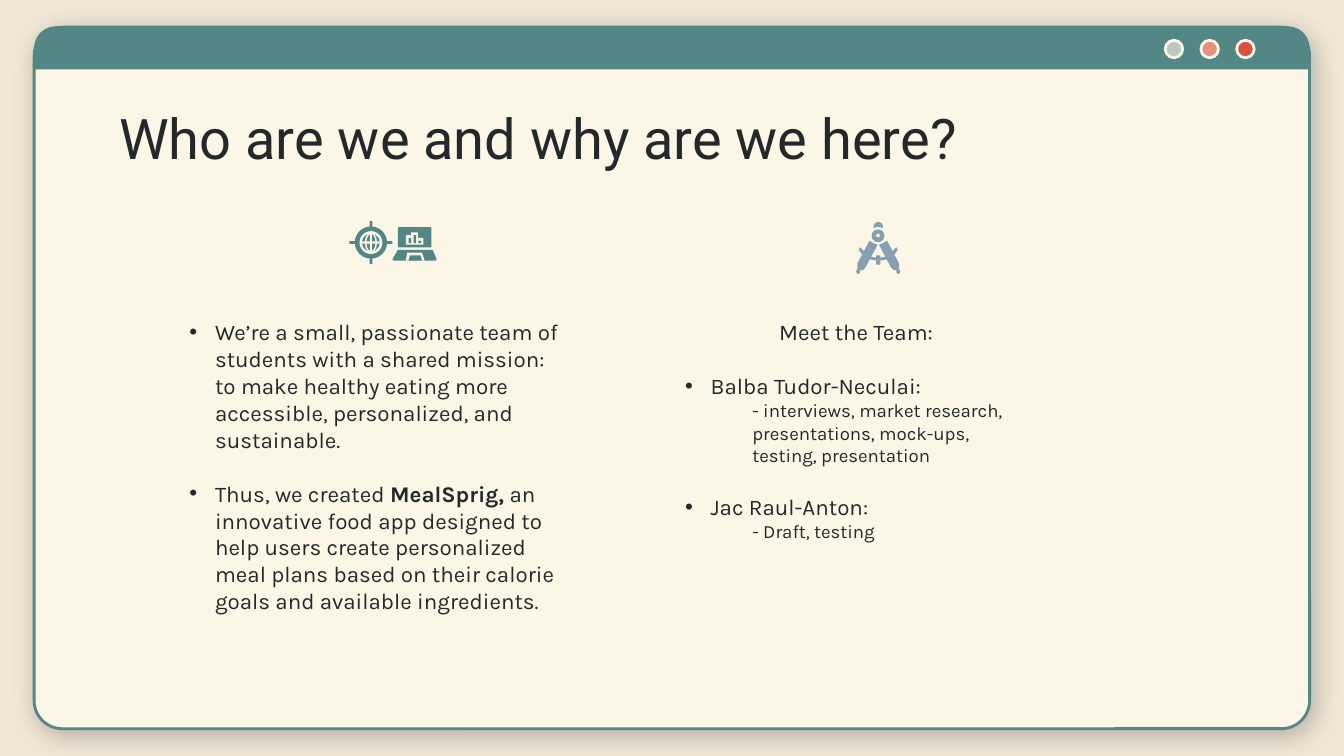
from dataclasses import dataclass
from typing import NamedTuple

from lxml.etree import SubElement
from pptx import Presentation
from pptx.dml.color import RGBColor
from pptx.enum.shapes import MSO_SHAPE as Kind
from pptx.enum.text import MSO_ANCHOR as Anchor, PP_ALIGN as Align
from pptx.oxml.ns import qn
from pptx.util import Inches, Pt

COLUMNS, ROWS = 1000, 562.5  # 16:9 slide grid; one cell is a hundredth of an inch
CELL = Inches(0.01)


@dataclass(frozen=True)
class Theme:
    backdrop: str = "F1E7D6"
    paper: str = "FCF6E7"
    teal: str = "538786"
    slate: str = "869FB2"
    ink: str = "24282A"
    buttons: tuple[str, ...] = ("BBC8BA", "E6907D", "DD4F3D")
    heading_font: str = "Roboto"
    body_font: str = "Karla"
    bullet_font: str = "Arial"
    title_size: float = 30
    body_size: float = 12
    detail_size: float = 10
    outline: float = 1.5
    gap: float = 14.4


class Area(NamedTuple):
    column: float
    row: float
    columns: float
    rows: float


class Item(NamedTuple):
    """One paragraph; its spans alternate between regular and bold."""
    spans: tuple[str, ...]
    size: float
    font: str
    bullet: bool = False
    margin: float = 0
    align: Align = Align.LEFT
    gap: float = 0


Points = list[tuple[int, int]]
THEME = Theme()


def color(code: str) -> RGBColor:
    return RGBColor.from_string(code)


def paint(shape, fill: str | None, line: str | None = None, width: float = 0) -> None:
    shape.shadow.inherit = False
    if fill:
        shape.fill.solid()
        shape.fill.fore_color.rgb = color(fill)
    else:
        shape.fill.background()
    if line:
        shape.line.color.rgb = color(line)
        shape.line.width = Pt(width)
    else:
        shape.line.fill.background()


def add_preset(page, kind: Kind, area: Area, fill: str | None,
               line: str | None = None, width: float = 0):
    shape = page.shapes.add_shape(kind, *(round(n * CELL) for n in area))
    paint(shape, fill, line, width)
    return shape


def add_disc(page, x: float, y: float, radius: float, fill: str) -> None:
    area = Area(x - radius, y - radius, 2 * radius, 2 * radius)
    add_preset(page, Kind.OVAL, area, fill)


def add_outline(page, points: Points, fill: str) -> None:
    builder = page.shapes.build_freeform(*points[0], scale=CELL)
    builder.add_line_segments(points[1:], close=True)
    paint(builder.convert_to_shape(), fill)


def add_shadow(shape) -> None:
    effects = shape._element.spPr.find(qn("a:effectLst"))
    shadow = SubElement(effects, qn("a:outerShdw"), blurRad=str(Pt(14.6)),
                        dist=str(Pt(3.8)), dir=str(50 * 60000),
                        algn="bl", rotWithShape="0")
    tint = SubElement(shadow, qn("a:srgbClr"), val=THEME.ink)
    SubElement(tint, qn("a:alpha"), val="30000")


def add_text(page, area: Area, items: list[Item]) -> None:
    box = page.shapes.add_textbox(*(round(n * CELL) for n in area))
    frame = box.text_frame
    frame.word_wrap = True
    frame.vertical_anchor = Anchor.TOP
    frame.margin_left = frame.margin_right = Inches(0.1)
    frame.margin_top = frame.margin_bottom = Inches(0.1)
    for index, item in enumerate(items):
        para = frame.add_paragraph() if index else frame.paragraphs[0]
        para.alignment = item.align
        para.space_before = Pt(item.gap)
        for order, words in enumerate(item.spans):
            span = para.add_run()
            span.text = words
            span.font.name = item.font
            span.font.size = Pt(item.size)
            span.font.bold = order % 2 == 1
            span.font.color.rgb = color(THEME.ink)
        props = para._p.get_or_add_pPr()
        props.set("marL", str(Inches(item.margin)))
        props.set("indent", str(-Inches(item.margin) if item.bullet else 0))
        if item.bullet:
            tint = SubElement(props, qn("a:buClr"))
            SubElement(tint, qn("a:srgbClr"), val=THEME.ink)
            SubElement(props, qn("a:buFont"), typeface=THEME.bullet_font)
            SubElement(props, qn("a:buChar"), char="•")


def bullet(*spans: str, gap: float = 0) -> Item:
    return Item(spans, THEME.body_size, THEME.body_font, True, 0.19, gap=gap)


def detail(words: str) -> Item:
    return Item((words,), THEME.detail_size, THEME.body_font, margin=0.5)


def draw_window(page) -> None:
    body = add_preset(page, Kind.ROUNDED_RECTANGLE, Area(25.4, 20.2, 949, 522),
                      THEME.paper, THEME.teal, THEME.outline)
    body.adjustments[0] = 0.04
    add_shadow(body)
    bar = add_preset(page, Kind.ROUND_2_SAME_RECTANGLE, Area(25.4, 19.6, 949, 32), THEME.teal)
    bar.adjustments[0], bar.adjustments[1] = 0.5, 0
    for index, fill in enumerate(THEME.buttons):
        add_preset(page, Kind.OVAL, Area(867 + 26.6 * index, 30, 13, 13),
                   fill, THEME.paper, THEME.outline)


def draw_globe(page, x: float, y: float) -> None:
    """Globe inside a target ring, centred on x, y."""
    for area in (Area(x - 16, y - 1, 32, 2), Area(x - 1, y - 16, 2, 32)):
        add_preset(page, Kind.ROUNDED_RECTANGLE, area, THEME.teal)
    for radius, fill in ((12, THEME.teal), (8.5, THEME.paper), (6.7, THEME.teal)):
        add_disc(page, x, y, radius, fill)
    add_preset(page, Kind.OVAL, Area(x - 4, y - 7, 8, 14), None, THEME.paper, 0.8)
    for area in (Area(x - 7, y - 0.8, 14, 1.6), Area(x - 0.8, y - 7, 1.6, 14)):
        add_preset(page, Kind.RECTANGLE, area, THEME.paper)


def draw_laptop(page) -> None:
    screen = add_preset(page, Kind.ROUND_2_SAME_RECTANGLE, Area(296, 169, 25, 15), THEME.teal)
    screen.adjustments[0] = 0.06
    add_outline(page, [(302, 182), (302, 175), (306, 175), (306, 173), (311, 173),
                       (311, 177), (315, 177), (315, 182)], THEME.paper)
    for column, height in ((304, 4), (307.7, 6), (311.3, 2)):
        add_preset(page, Kind.RECTANGLE, Area(column, 181 - height, 2, height), THEME.teal)
    add_outline(page, [(296, 186), (322, 186), (325, 193), (324, 194),
                       (293, 194), (292, 193)], THEME.teal)
    add_outline(page, [(303, 188), (314, 188), (316, 194), (302, 194)], THEME.paper)
    add_outline(page, [(305, 190), (313, 190), (314, 194), (304, 194)], THEME.teal)


def draw_compass(page) -> None:
    """Drawing compass; each left half is mirrored to the right."""
    leg = [(647, 179), (638, 196), (638, 200), (637, 202), (638, 204), (640, 203),
           (640, 201), (642, 201), (644, 199), (653, 182), (650, 181)]
    arc = [(639, 186), (642, 190), (647, 193), (653, 194), (653, 192), (648, 191),
           (643, 187), (641, 185), (640, 184)]
    cap = [(650, 170), (650, 168), (651, 166), (654, 165), (654, 169), (652, 169)]
    for half in (leg, arc, cap):
        add_outline(page, half, THEME.slate)
        add_outline(page, [(1307 - x, y) for x, y in half], THEME.slate)
    add_preset(page, Kind.ROUNDED_RECTANGLE, Area(652, 190, 3, 7), THEME.slate)
    add_disc(page, 653.3, 175.5, 4.8, THEME.slate)
    add_disc(page, 653.3, 175.3, 1.3, THEME.paper)


def main() -> None:
    deck = Presentation()
    deck.slide_width, deck.slide_height = COLUMNS * CELL, round(ROWS * CELL)
    page = deck.slides.add_slide(deck.slide_layouts[6])
    page.background.fill.solid()
    page.background.fill.fore_color.rgb = color(THEME.backdrop)

    draw_window(page)
    add_text(page, Area(79, 67.4, 843, 63), [
        Item(("Who are we and why are we here?",), THEME.title_size, THEME.heading_font)])
    add_text(page, Area(500, 227, 274, 214), [
        Item(("Meet the Team:",), THEME.body_size, THEME.body_font, align=Align.CENTER),
        bullet("Balba Tudor-Neculai:", gap=THEME.gap),
        detail("- interviews, market research, presentations, mock-ups, "
               "testing, presentation"),
        bullet("Jac Raul-Anton:", gap=THEME.gap),
        detail("- Draft, testing")])
    add_text(page, Area(131.2, 227, 303, 238), [
        bullet("We’re a small, passionate team of students with a shared mission: "
               "to make healthy eating more accessible, personalized, and sustainable."),
        bullet("Thus, we created ", "MealSprig,",
               " an innovative food app designed to help users create personalized "
               "meal plans based on their calorie goals and available ingredients.",
               gap=THEME.gap)])
    draw_globe(page, 276, 180.5)
    draw_laptop(page)
    draw_compass(page)
    deck.save("out.pptx")


if __name__ == "__main__":
    main()
